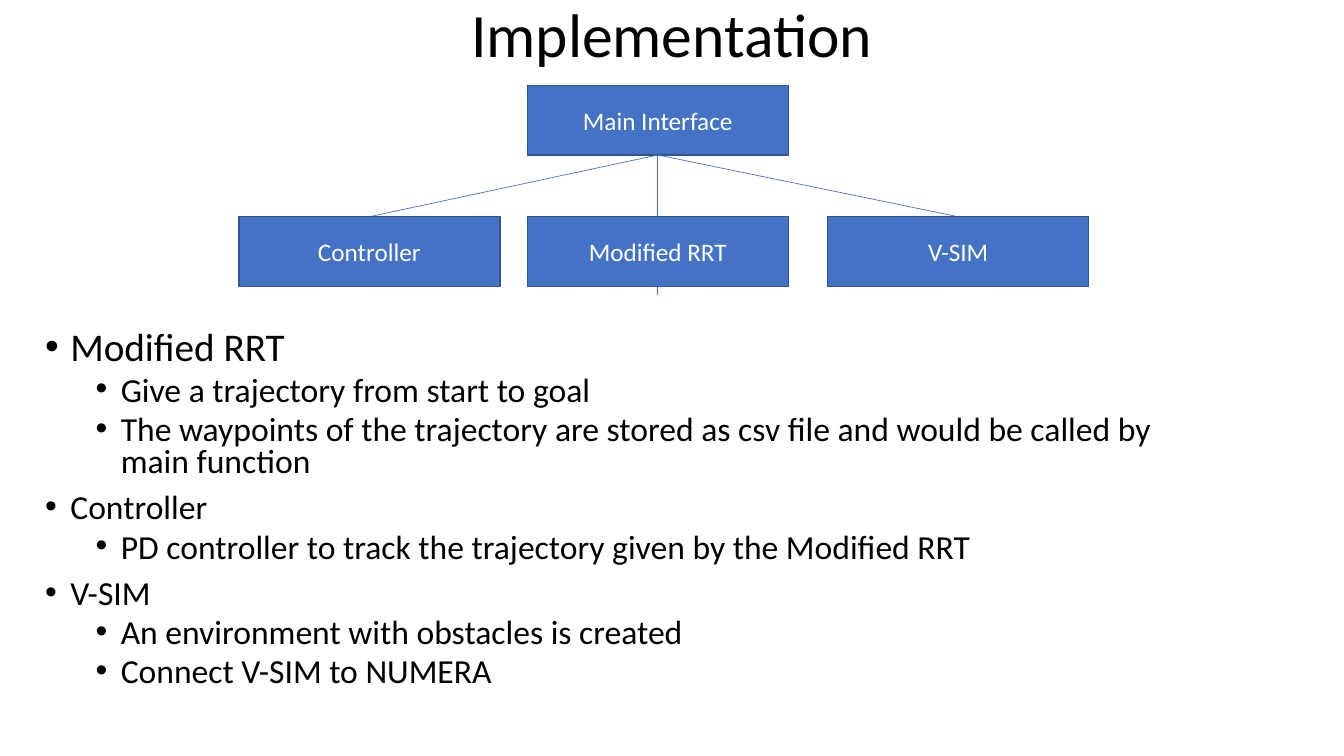
from lxml.etree import SubElement
from pptx import Presentation
from pptx.dml.color import RGBColor
from pptx.enum.shapes import MSO_CONNECTOR, MSO_SHAPE
from pptx.enum.text import MSO_ANCHOR, PP_ALIGN
from pptx.oxml.ns import qn
from pptx.util import Pt

TITLE = "Implementation"
MAIN = ("Main Interface", 376.6, 61)
PARTS = [("Controller", 170.6), ("Modified RRT", 376.6), ("V-SIM", 591.2)]
ROW = 154.8
WIDE, HIGH = 186.5, 49.7
STEM = 211  # lower end of the middle line
BODY = [
    (0, "Modified RRT", 28),
    (1, "Give a trajectory from start to goal", 24),
    (1, "The waypoints of the trajectory are stored as csv file "
        "and would be called by main function", 24),
    (0, "Controller", 24),
    (1, "PD controller to track the trajectory given by the Modified RRT", 24),
    (0, "V-SIM", 24),
    (1, "An environment with obstacles is created", 24),
    (1, "Connect V-SIM to NUMERA", 24),
]
BLUE, EDGE, BLACK, WHITE = "4472C4", "325491", "000000", "FFFFFF"


def paint(color, code):
    color.rgb = RGBColor.from_string(code)


def write(para, text, size=18, color=BLACK, align=None, lines=None, before=0):
    para.alignment = align
    para.line_spacing = lines
    para.space_before = Pt(before)
    run = para.add_run()
    run.text = text
    run.font.name = "Calibri"
    run.font.size = Pt(size)
    paint(run.font.color, color)


def bullet(para, level):
    para.level = level
    props = para._p.get_or_add_pPr()
    props.set("marL", str(Pt(18 + 36 * level)))
    props.set("indent", str(-Pt(18)))
    SubElement(props, qn("a:buFont"), typeface="Arial")
    SubElement(props, qn("a:buChar"), char="•")


def frame(shapes, left, top, width, height):
    """Add a wrapping text box and return its text frame."""
    text = shapes.add_textbox(Pt(left), Pt(top), Pt(width), Pt(height)).text_frame
    text.word_wrap = True
    return text


def block(shapes, text, left, top):
    box = shapes.add_shape(MSO_SHAPE.RECTANGLE, Pt(left), Pt(top), Pt(WIDE), Pt(HIGH))
    box.shadow.inherit = False
    box.fill.solid()
    paint(box.fill.fore_color, BLUE)
    paint(box.line.color, EDGE)
    box.line.width = Pt(1)
    box.text_frame.vertical_anchor = MSO_ANCHOR.MIDDLE
    write(box.text_frame.paragraphs[0], text, color=WHITE, align=PP_ALIGN.CENTER)
    return box


def branch(shapes, start, end):
    """Draw a line from the bottom of the start box to a point."""
    line = shapes.add_connector(MSO_CONNECTOR.STRAIGHT, 0, 0, *map(Pt, end))
    line.begin_connect(start, 2)
    paint(line.line.color, BLUE)
    line.line.width = Pt(0.5)
    SubElement(line._element.spPr, qn("a:effectLst"))
    return line


def main():
    deck = Presentation()
    deck.slide_width, deck.slide_height = Pt(960), Pt(540)
    shapes = deck.slides.add_slide(deck.slide_layouts[6]).shapes

    title = frame(shapes, 0, -3, 960, 60)
    title.vertical_anchor = MSO_ANCHOR.MIDDLE
    write(title.paragraphs[0], TITLE, size=44, align=PP_ALIGN.CENTER, lines=0.9)

    root = block(shapes, *MAIN)
    lines = []
    for _, left in PARTS:
        foot = STEM if left == MAIN[1] else ROW
        lines.append(branch(shapes, root, (left + WIDE / 2, foot)))
    for (name, left), line in zip(PARTS, lines):
        box = block(shapes, name, left, ROW)
        if left != MAIN[1]:
            line.end_connect(box, 0)

    body = frame(shapes, 25.2, 233.3, 828, 286)
    for i, (level, text, size) in enumerate(BODY):
        para = body.add_paragraph() if i else body.paragraphs[0]
        bullet(para, level)
        gap = (5 if level else 10) if i else 0
        write(para, text, size=size, lines=0.8, before=gap)

    deck.save("out.pptx")


if __name__ == "__main__":
    main()
